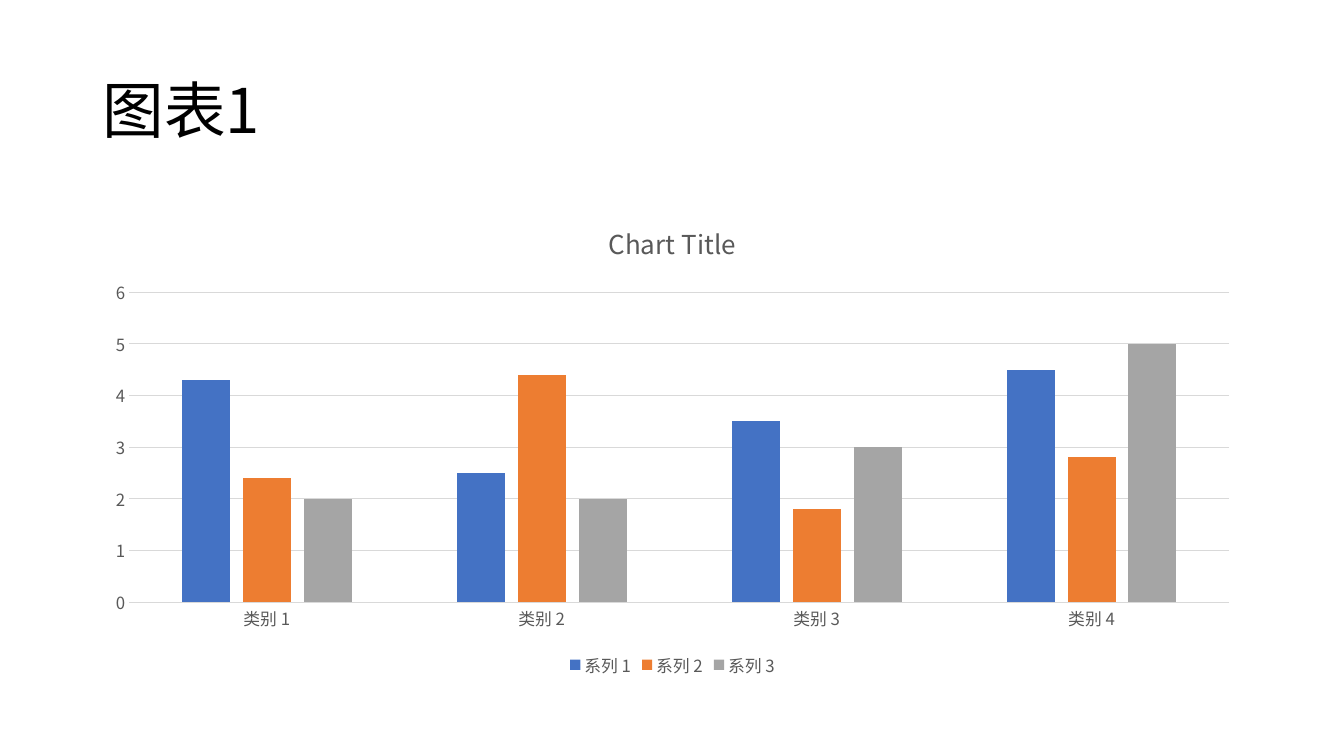
from dataclasses import dataclass

from lxml.etree import Element
from pptx import Presentation
from pptx.chart.data import CategoryChartData
from pptx.dml.color import RGBColor
from pptx.enum.chart import XL_CHART_TYPE, XL_LEGEND_POSITION, XL_TICK_MARK
from pptx.enum.text import MSO_ANCHOR
from pptx.oxml.ns import qn
from pptx.util import Inches, Pt

FONT = "Noto Sans CJK SC"
COLORS = {
    "black": "000000",
    "label": "595959",
    "grid": "D9D9D9",
    "blue": "4472C4",
    "orange": "ED7D31",
    "gray": "A5A5A5",
}
LEFT, WIDTH = 0.92, 11.5


@dataclass
class Series:
    name: str
    values: tuple
    color: str


CATEGORIES = [f"类别 {n}" for n in range(1, 5)]
SERIES = [
    Series("系列 1", (4.3, 2.5, 3.5, 4.5), "blue"),
    Series("系列 2", (2.4, 4.4, 1.8, 2.8), "orange"),
    Series("系列 3", (2, 2, 3, 5), "gray"),
]


def rgb(name: str) -> RGBColor:
    return RGBColor.from_string(COLORS[name])


def set_font(font, size: float, color: str) -> None:
    font.name = FONT
    font.size = Pt(size)
    font.bold = False
    font.color.rgb = rgb(color)


def set_east_asian_fonts(root) -> None:
    for latin in list(root.iter(qn("a:latin"))):
        ea = Element(qn("a:ea"))
        ea.set("typeface", FONT)
        latin.addnext(ea)


def write_text(tf, text: str, *, size: float, color: str,
               line_spacing: float = 1.0) -> None:
    p = tf.paragraphs[0]
    p.line_spacing = line_spacing
    r = p.add_run()
    r.text = text
    set_font(r.font, size, color)


def set_line(line, color: str) -> None:
    line.color.rgb = rgb(color)
    line.width = Pt(0.75)


def style_axis(axis) -> None:
    axis.major_tick_mark = XL_TICK_MARK.NONE
    axis.minor_tick_mark = XL_TICK_MARK.NONE
    set_font(axis.tick_labels.font, 12, "label")


def add_title(s, text: str) -> None:
    sp = s.shapes.add_textbox(Inches(LEFT), Inches(0.4), Inches(WIDTH), Inches(1.45))
    tf = sp.text_frame
    tf.word_wrap = True
    tf.vertical_anchor = MSO_ANCHOR.MIDDLE
    write_text(tf, text, size=44, color="black", line_spacing=0.9)
    set_east_asian_fonts(sp.element)


def add_column_chart(s, title: str) -> None:
    data = CategoryChartData()
    data.categories = CATEGORIES
    for series in SERIES:
        data.add_series(series.name, series.values)
    frame = s.shapes.add_chart(
        XL_CHART_TYPE.COLUMN_CLUSTERED,
        Inches(LEFT), Inches(2), Inches(WIDTH), Inches(4.76), data)
    chart = frame.chart
    set_font(chart.font, 10, "black")

    # Chart title
    chart.has_title = True
    write_text(chart.chart_title.text_frame, title, size=18.6, color="label")

    # Columns
    plot = chart.plots[0]
    plot.gap_width = 219
    plot.overlap = -27
    plot.vary_by_categories = False
    for column, series in zip(plot.series, SERIES):
        column.format.fill.solid()
        column.format.fill.fore_color.rgb = rgb(series.color)
        column.invert_if_negative = False

    # Axes and gridlines
    style_axis(chart.category_axis)
    set_line(chart.category_axis.format.line, "grid")
    value_axis = chart.value_axis
    style_axis(value_axis)
    value_axis.minimum_scale = 0
    value_axis.maximum_scale = 6
    value_axis.major_unit = 1
    value_axis.format.line.fill.background()
    set_line(value_axis.major_gridlines.format.line, "grid")

    # Legend
    chart.has_legend = True
    chart.legend.position = XL_LEGEND_POSITION.BOTTOM
    chart.legend.include_in_layout = False
    set_font(chart.legend.font, 12, "label")

    set_east_asian_fonts(chart.element)


def main() -> None:
    prs = Presentation()
    prs.slide_width = Inches(13.33)
    prs.slide_height = Inches(7.5)
    s = prs.slides.add_slide(prs.slide_layouts[6])
    add_title(s, "图表1")
    add_column_chart(s, "Chart Title")
    prs.save("out.pptx")


if __name__ == "__main__":
    main()
